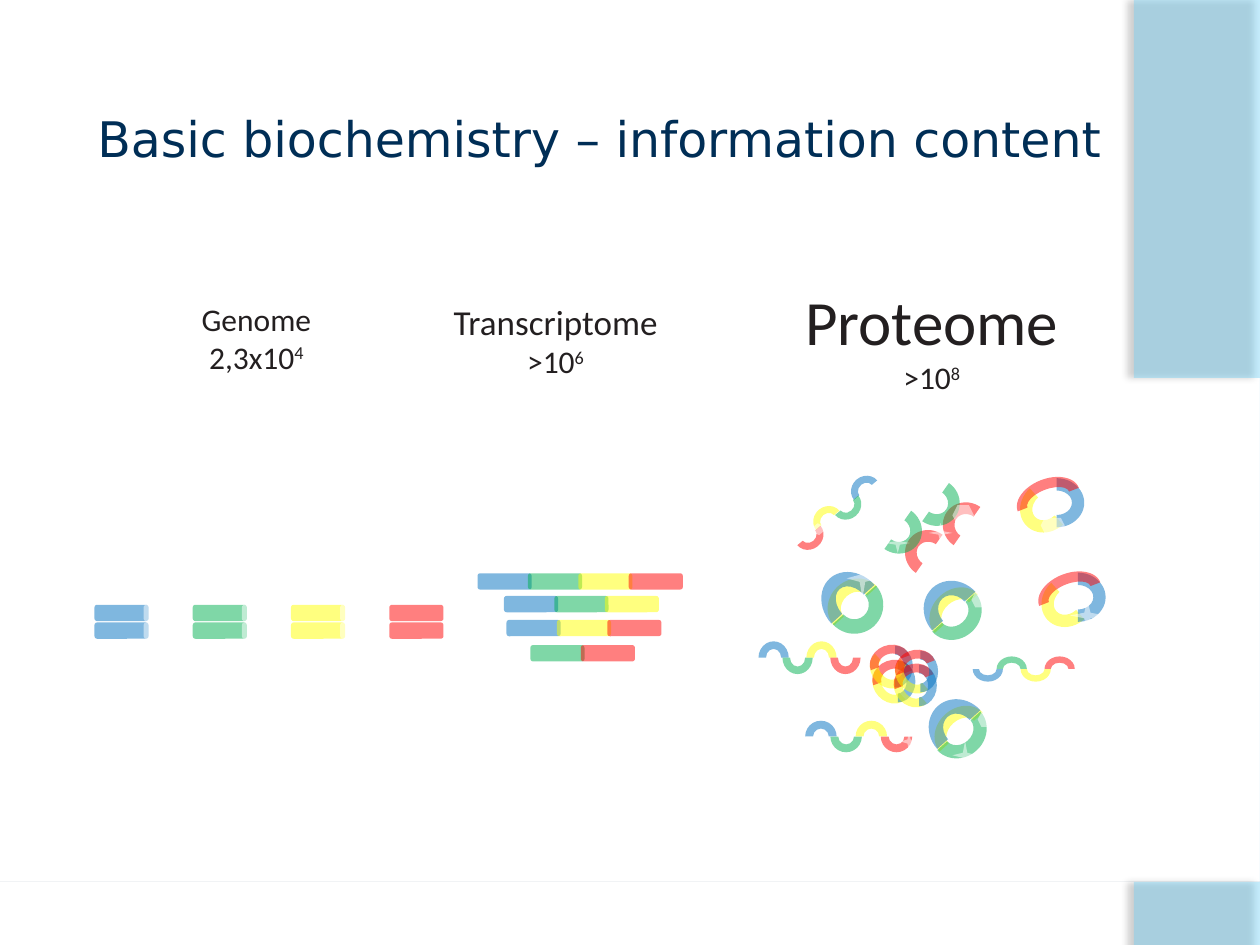
from dataclasses import dataclass

from lxml.etree import SubElement
from pptx import Presentation
from pptx.dml.color import RGBColor
from pptx.enum.shapes import MSO_SHAPE
from pptx.enum.text import MSO_ANCHOR, MSO_AUTO_SIZE, PP_ALIGN
from pptx.oxml.ns import qn
from pptx.util import Inches, Pt


@dataclass(frozen=True)
class Theme:
    navy: str = "002E56"
    sky: str = "6DCFF6"
    ink: str = "231F20"
    black: str = "000000"
    white: str = "FFFFFF"
    blue: str = "0070C0"
    green: str = "00B050"
    yellow: str = "FFFF00"
    red: str = "FF0000"
    title_font: str = "DejaVu Sans"
    label_font: str = "Calibri"
    title_size: int = 28
    count_size: int = 18


THEME = Theme()
COLOURS = {"B": THEME.blue, "G": THEME.green, "Y": THEME.yellow,
           "R": THEME.red, "W": THEME.white}
PRESETS = {"bar": MSO_SHAPE.ROUNDED_RECTANGLE, "arc": MSO_SHAPE.BLOCK_ARC,
           "hexagon": MSO_SHAPE.HEXAGON, "star": MSO_SHAPE.STAR_4_POINT}

TITLE = "Basic biochemistry – information content"
LABELS = {
    "genome": ("Genome", 18, "2,3x10", "4", (1.24, 2.33, 1.59, 0.7)),
    "transcriptome": ("Transcriptome", 20, ">10", "6", (3.36, 2.11, 2.1, 1.18)),
    "proteome": ("Proteome", 36, ">10", "8", (6.07, 1.76, 2.65, 1.87)),
}
BAR_SIZE = (0.43, 0.13)
GENES = [(0.75, 4.8, "BWGWYWR"), (0.75, 4.94, "BWGWYWR")]
TRANSCRIPTS = [(4.02, 4.92, "BYR"), (4.21, 5.12, "GR"),
               (4, 4.73, "BGY"), (3.79, 4.55, "BGYR")]

CUP = [("Y", 0, 0, 0.46, 0.38, 318.1), ("B", -0.02, -0.08, 0.46, 0.5, 318.1),
       ("G", -0.02, -0.03, 0.46, 0.42, 138.1)]
LARGE_CUP = [("Y", 0, 0, 0.46, 0.42, 318.1), ("B", -0.02, -0.08, 0.46, 0.55, 318.1),
             ("G", -0.01, -0.03, 0.46, 0.46, 138.1)]
RING = [("Y", 0, 0, 0.39, 0.44, 227.5), ("B", 0.08, -0.03, 0.39, 0.44, 90),
        ("R", -0.05, 0, 0.52, 0.33, 338.9)]
SMALL_RING = [("Y", 0, 0, 0.33, 0.28, 227.5), ("B", 0.05, -0.02, 0.33, 0.28, 90),
              ("R", 0.01, -0.05, 0.33, 0.28, 338.9)]
DIMER = [("R", 0, 0, 0.37, 0.39, 304.9), ("G", -0.25, -0.19, 0.37, 0.39, 124.9)]
HEXAGON_STEPS = [(0, 0), (0.85, 0.58), (0.87, 1.62), (1.72, 2.28)]
TILTED_HEXAGONS = [(6.45, 4.16), (6.36, 4.17), (6.31, 4.11), (6.21, 4.11)]

BACKDROP = [
    (THEME.navy, 45, (35, 4, 3.5, 270),
     [(0, 7.33), (0, 7.49), (10, 7.49), (10, 6.66)],
     [(5.59, 7.42), (3.91, 7.38), (0, 7.33)]),
    (THEME.sky, 40, (45, 4, 4, 180),
     [(10, -0.02), (10, 7.5), (9.09, 7.5)],
     [(9.92, 6.19), (10.13, 2.98), (8.54, -0.04)]),
]


def bars(rows, pitch):
    return [("bar", colour, left + pitch * index, top, *BAR_SIZE, 0)
            for left, top, colours in rows for index, colour in enumerate(colours)]


def fold(arcs, left, top):
    return [("arc", colour, left + dx, top + dy, width, height, rotation)
            for colour, dx, dy, width, height, rotation in arcs]


def chain(left, top, step, size, rotation, colours="BGYR"):
    return [("arc", colour, left + step[0] * index, top + step[1] * index,
             *size, (rotation + 180 * index) % 360)
            for index, colour in enumerate(colours)]


def hexagons(left, top, width, height):
    return [("hexagon", "W", left + width * dx, top + height * dy, width, height, 0)
            for dx, dy in HEXAGON_STEPS]


def star(left, top, width, height):
    return [("star", "W", left, top, width, height, 0)]


PROTEINS = [
    *chain(7.72, 5.21, (0.19, 0), (0.24, 0.2), 180),
    *chain(6.39, 5.72, (0.2, 0), (0.25, 0.25), 0),
    *star(7.15, 5.79, 0.13, 0.19),
    *fold(LARGE_CUP, 6.56, 4.6), *star(6.72, 4.43, 0.25, 0.32),
    *fold(RING, 8.28, 4.55), *star(8.49, 4.76, 0.28, 0.25),
    *chain(6.75, 3.78, (-0.15, 0.12), (0.24, 0.22), 320),
    *[("hexagon", "W", left, top, 0.09, 0.08, 140) for left, top in TILTED_HEXAGONS],
    *fold(CUP, 7.36, 4.68), *hexagons(7.71, 4.7, 0.13, 0.12),
    *fold(DIMER, 7.49, 3.98), *hexagons(7.56, 4.01, 0.17, 0.16),
    *fold(RING, 8.11, 3.8), *hexagons(8.26, 4.11, 0.19, 0.12),
    *fold(CUP, 7.4, 5.62), *hexagons(7.76, 5.65, 0.13, 0.12),
    *star(7.56, 5.88, 0.2, 0.23),
    *chain(6.02, 5.09, (0.19, 0), (0.24, 0.26), 0),
    *fold(SMALL_RING, 6.91, 5.29), *fold(SMALL_RING, 6.89, 5.17),
    *fold(SMALL_RING, 7.08, 5.32), *fold(SMALL_RING, 7.09, 5.21),
    *fold(DIMER, 7.19, 4.2),
    *star(7.03, 4.23, 0.19, 0.16), *star(7.37, 4.15, 0.19, 0.16),
]


def paint(shape, colour, opacity):
    shape.shadow.inherit = False
    shape.line.fill.background()
    shape.fill.solid()
    shape.fill.fore_color.rgb = RGBColor.from_string(colour)
    color_element = shape._element.spPr.find(qn("a:solidFill"))[0]
    SubElement(color_element, qn("a:alpha"), val=str(opacity * 1000))


def add_shadow(shape, opacity, blur, distance, direction):
    effects = shape._element.spPr.find(qn("a:effectLst"))
    shadow = SubElement(effects, qn("a:outerShdw"), blurRad=str(Pt(blur)),
                        dist=str(Pt(distance)), dir=str(direction * 60000),
                        algn="ctr", rotWithShape="0")
    color_element = SubElement(shadow, qn("a:srgbClr"), val=THEME.black)
    SubElement(color_element, qn("a:alpha"), val=str(opacity * 1000))


def curve_points(start, controls, count=60):
    for index in range(1, count + 1):
        t = index / count
        weights = ((1 - t) ** 3, 3 * t * (1 - t) ** 2, 3 * t * t * (1 - t), t ** 3)
        yield tuple(sum(weight * point[axis] for weight, point in zip(weights, (start, *controls)))
                    for axis in (0, 1))


def add_swoosh(slide, colour, opacity, shadow, corners, controls):
    points = [*corners, *curve_points(corners[-1], controls)]
    builder = slide.shapes.build_freeform(*points[0], scale=Inches(1))
    builder.add_line_segments(points[1:], close=True)
    shape = builder.convert_to_shape()
    paint(shape, colour, opacity)
    add_shadow(shape, *shadow)


def add_part(group, preset, colour, left, top, width, height, rotation):
    shape = group.shapes.add_shape(PRESETS[preset], *map(Inches, (left, top, width, height)))
    shape.rotation = rotation
    paint(shape, COLOURS[colour], 50)
    return shape


def add_run(paragraph, text, size, font, colour):
    run = paragraph.add_run()
    run.text = text
    run.font.size = Pt(size)
    run.font.name = font
    run.font.color.rgb = RGBColor.from_string(colour)
    return run


def add_label(group, name, size, count, exponent, box):
    frame = add_part(group, "bar", "W", *box, 0).text_frame
    frame.word_wrap = True
    frame.vertical_anchor = MSO_ANCHOR.MIDDLE
    style = (THEME.label_font, THEME.ink)
    heading, amount = frame.paragraphs[0], frame.add_paragraph()
    heading.alignment = amount.alignment = PP_ALIGN.CENTER
    add_run(heading, name, size, *style)
    add_run(amount, count, THEME.count_size, *style)
    power = add_run(amount, exponent, THEME.count_size, *style)
    power._r.get_or_add_rPr().set("baseline", "30000")


def add_title(slide):
    title = slide.shapes.title
    title.left, title.top, title.width, title.height = map(Inches, (0.67, 0.47, 8.17, 1.25))
    frame = title.text_frame
    frame.word_wrap = True
    frame.auto_size = MSO_AUTO_SIZE.NONE
    frame.vertical_anchor = MSO_ANCHOR.MIDDLE
    frame.margin_left = frame.margin_right = frame.margin_top = frame.margin_bottom = Inches(0.05)
    frame.paragraphs[0].alignment = PP_ALIGN.CENTER
    add_run(frame.paragraphs[0], TITLE, THEME.title_size, THEME.title_font, THEME.navy)
    slide.shapes._spTree.append(title._element)


def main():
    presentation = Presentation()
    presentation.slide_width, presentation.slide_height = Inches(10), Inches(7.5)
    slide = presentation.slides.add_slide(presentation.slide_layouts[5])
    for swoosh in BACKDROP:
        add_swoosh(slide, *swoosh)
    stages = {"genome": bars(GENES, 0.39), "transcriptome": bars(TRANSCRIPTS, 0.4),
              "proteome": PROTEINS}
    for stage, parts in stages.items():
        group = slide.shapes.add_group_shape()
        add_label(group, *LABELS[stage])
        for part in parts:
            add_part(group, *part)
    add_title(slide)
    presentation.save("out.pptx")


if __name__ == "__main__":
    main()
